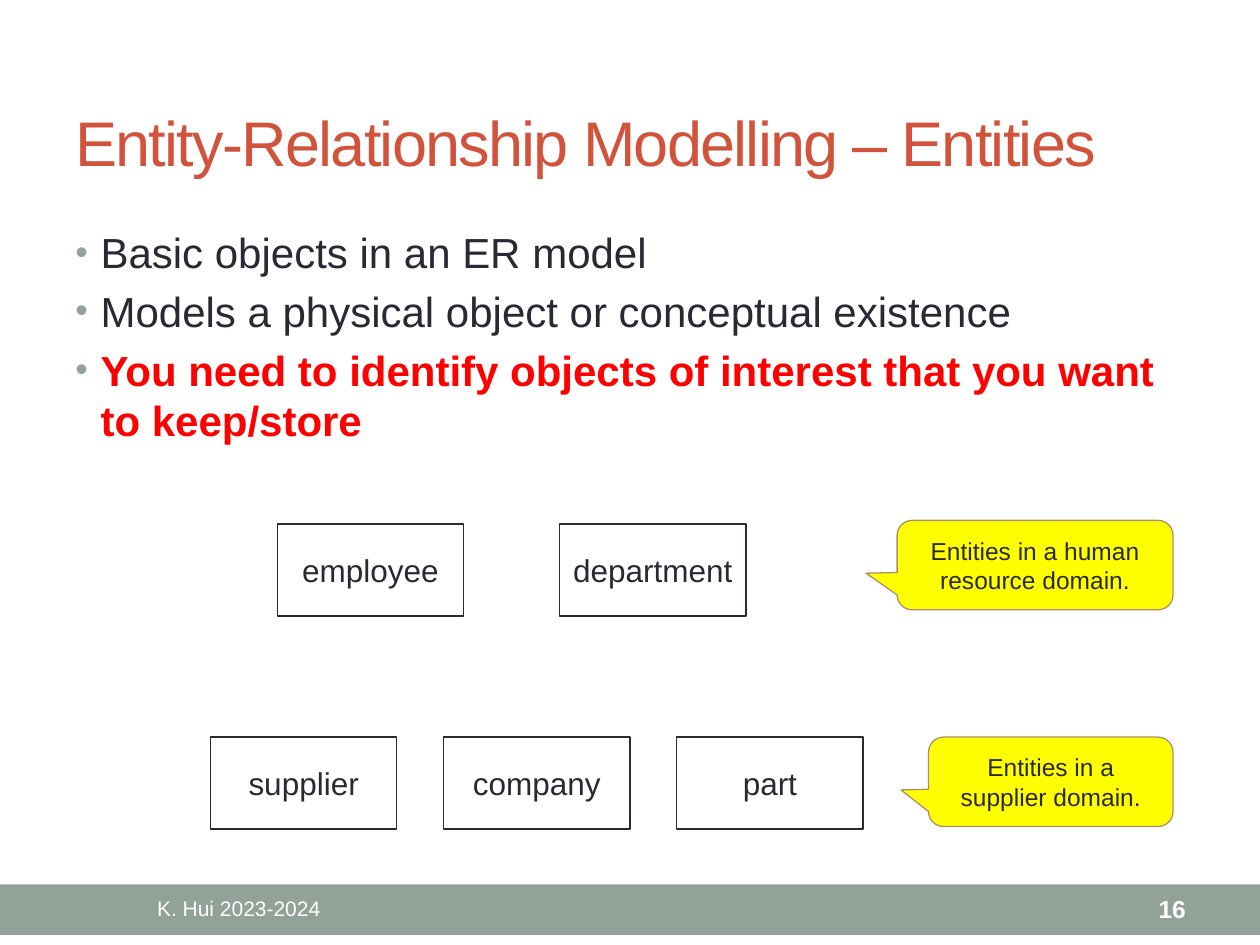
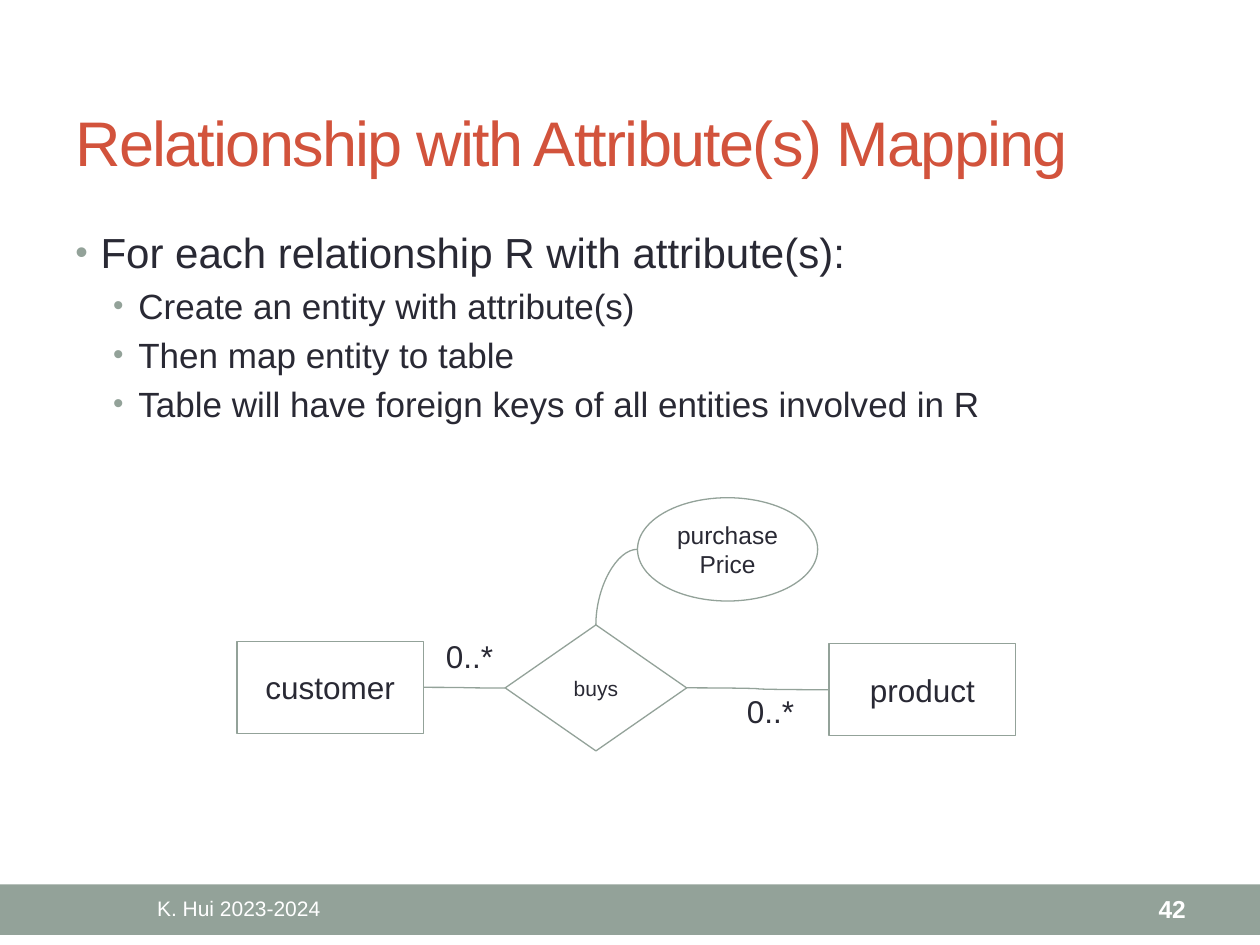
from lxml import etree
from pptx import Presentation
from pptx import util as u
from pptx.dml.color import RGBColor
from pptx.enum import shapes, text
from pptx.oxml import ns

FONT = "Arial"
INK, SAGE, RUST = "292934", "93A299", "D2533C"
WHITE, RED, YELLOW, TAN = "FFFFFF", "FF0000", "FFFF00", "AD8F67"
SHAPE = shapes.MSO_SHAPE
ALIGN = text.PP_ALIGN
MIDDLE = text.MSO_ANCHOR.MIDDLE
BOX_W, BOX_H = 1.48, 0.73
TOP, LEFT, RIGHT = 0, 1, 3      # connection sites of rectangles and diamonds
OVAL_LEFT = 2                   # an ellipse has eight sites


def rgb(value):
    """Turn a hex string into a colour."""
    return RGBColor.from_string(value)


def inches(*values):
    """Turn numbers into lengths."""
    return [u.Inches(v) for v in values]


def sub(parent, tag, **attrs):
    """Append an XML child with attributes."""
    return etree.SubElement(parent, ns.qn(tag), attrs)


def write(p, words, size=18, color=INK, bold=False, align=None, spacing=None):
    """Add one formatted run to a paragraph."""
    if align is not None:
        p.alignment = align
    r = p.add_run()
    r.text = words
    r.font.name, r.font.size, r.font.bold = FONT, u.Pt(size), bold
    r.font.color.rgb = rgb(color)
    if spacing is not None:
        r.font._element.set("spc", str(spacing * 100))


class Deck:
    """Holds the shared style and the current slide."""

    def __init__(self):
        """Start an empty 4:3 presentation."""
        self.prs = Presentation()
        self.prs.slide_width, self.prs.slide_height = inches(10, 7.5)

    def slide(self, title, number):
        """Start a slide with its title, band and footer."""
        self.s = self.prs.slides.add_slide(self.prs.slide_layouts[6])
        self.shape(SHAPE.RECTANGLE, (0, 7.02, 10, 0.4), fill=SAGE)
        self.label((0.5, 0.58, 9, 1.08), title, anchor=MIDDLE,
                   size=36, color=RUST, spacing=-1)
        self.label((0.5, 7.03, 2.79, 0.36), "K. Hui 2023-2024", anchor=MIDDLE,
                   size=12, color=WHITE, align=ALIGN.CENTER)
        self.label((8.34, 7.03, 1.17, 0.36), str(number), anchor=MIDDLE,
                   size=14, color=WHITE, bold=True, align=ALIGN.RIGHT)

    def label(self, at, words, anchor=text.MSO_ANCHOR.TOP, wrap=True, **fmt):
        """Add a text box with one paragraph."""
        tf = self.s.shapes.add_textbox(*inches(*at)).text_frame
        tf.word_wrap, tf.vertical_anchor = wrap, anchor
        write(tf.paragraphs[0], words, **fmt)

    def bullets(self, height, items):
        """Add a bulleted list of (level, words, format) items."""
        tf = self.s.shapes.add_textbox(*inches(0.5, 1.75, 9, height)).text_frame
        tf.word_wrap = True
        for i, (level, words, fmt) in enumerate(items):
            p = tf.add_paragraph() if i else tf.paragraphs[0]
            p.level = level
            pPr = p._p.get_or_add_pPr()
            pPr.set("marL", str(u.Inches(0.2 + 0.3 * level)))
            pPr.set("indent", str(u.Inches(-0.2)))
            sub(sub(pPr, "a:spcBef"), "a:spcPct", val="20000")
            sub(sub(pPr, "a:buClr"), "a:srgbClr", val=SAGE)
            sub(pPr, "a:buSzPct", val="85000")
            sub(pPr, "a:buFont", typeface=FONT)
            sub(pPr, "a:buChar", char="•")
            write(p, words, size=24 - 4 * level, **fmt)

    def shape(self, kind, at, words="", fill=None, line=None, size=18, group=None):
        """Add a preset shape with centred text, in a group if given."""
        sp = (group or self.s).shapes.add_shape(kind, *inches(*at))
        sp.shadow.inherit = False
        if fill:
            sp.fill.solid()
            sp.fill.fore_color.rgb = rgb(fill)
        else:
            sp.fill.background()
        if line:
            sp.line.color.rgb = rgb(line)
            sp.line.width = u.Pt(0.75)
        else:
            sp.line.fill.background()
        if words:
            tf = sp.text_frame
            tf.word_wrap, tf.vertical_anchor = True, MIDDLE
            write(tf.paragraphs[0], words, size=size, align=ALIGN.CENTER)
        return sp

    def box(self, left, top, words, line=SAGE, group=None):
        """Add an entity box."""
        return self.shape(SHAPE.RECTANGLE, (left, top, BOX_W, BOX_H), words,
                          line=line, group=group)

    def domain(self, left, top, step, names, callout, note):
        """Group a row of entity boxes with the callout that explains it."""
        group = self.s.shapes.add_group_shape()
        for i, name in enumerate(names):
            self.box(left + i * step, top, name, line=INK, group=group)
        sp = self.shape(SHAPE.ROUNDED_RECTANGULAR_CALLOUT, callout, note,
                        fill=YELLOW, line=TAN, size=14, group=group)
        for i, value in enumerate((-0.613, 0.091, 0.167)):
            sp.adjustments[i] = value

    def link(self, start, start_site, end, end_site):
        """Join two shapes with a curved line."""
        cx = self.s.shapes.add_connector(shapes.MSO_CONNECTOR.CURVE, 0, 0, 0, 0)
        cx.begin_connect(start, start_site)
        cx.end_connect(end, end_site)
        cx.line.color.rgb = rgb(SAGE)
        cx.line.width = u.Pt(0.75)
        sub(cx._element.spPr, "a:effectLst")
        return cx

    def quarter_link(self, oval, end):
        """Curve from the left of an ellipse down to the top of a shape."""
        cx = self.link(oval, OVAL_LEFT, end, TOP)
        cx.begin_x = oval.left
        cx.begin_y = oval.top + oval.height // 2
        cx._element.spPr.find(ns.qn("a:prstGeom")).set("prst", "curvedConnector2")


deck = Deck()

deck.slide("Entity-Relationship Modelling – Entities", 16)
deck.bullets(1.87, [
    (0, "Basic objects in an ER model", {}),
    (0, "Models a physical object or conceptual existence", {}),
    (0, "You need to identify objects of interest that you want to keep/store",
     {"color": RED, "bold": True}),
])
deck.domain(1.67, 5.85, 1.85, ["supplier", "company", "part"],
            (7.37, 5.85, 1.94, 0.71), "Entities in a supplier domain.")
deck.domain(2.2, 4.16, 2.24, ["employee", "department"],
            (7.12, 4.13, 2.19, 0.71), "Entities in a human resource domain.")

deck.slide("Relationship with Attribute(s) Mapping", 42)
deck.bullets(2.22, [
    (0, "For each relationship R with attribute(s):", {}),
    (1, "Create an entity with attribute(s)", {}),
    (1, "Then map entity to table", {}),
    (1, "Table will have foreign keys of all entities involved in R", {}),
])
customer = deck.box(1.88, 5.09, "customer")
product = deck.box(6.58, 5.11, "product")
buys = deck.shape(SHAPE.DIAMOND, (4.01, 4.96, 1.44, 1), "buys", line=SAGE, size=12)
price = deck.shape(SHAPE.OVAL, (5.06, 3.95, 1.43, 0.82), "purchasePrice",
                   line=SAGE, size=14)
for left, top in ((3.44, 5.01), (5.83, 5.44)):
    deck.label((left, top, 0.58, 0.4), "0..*", wrap=False)
deck.link(product, LEFT, buys, RIGHT)
deck.link(customer, RIGHT, buys, LEFT)
deck.quarter_link(price, buys)

deck.prs.save("out.pptx")
